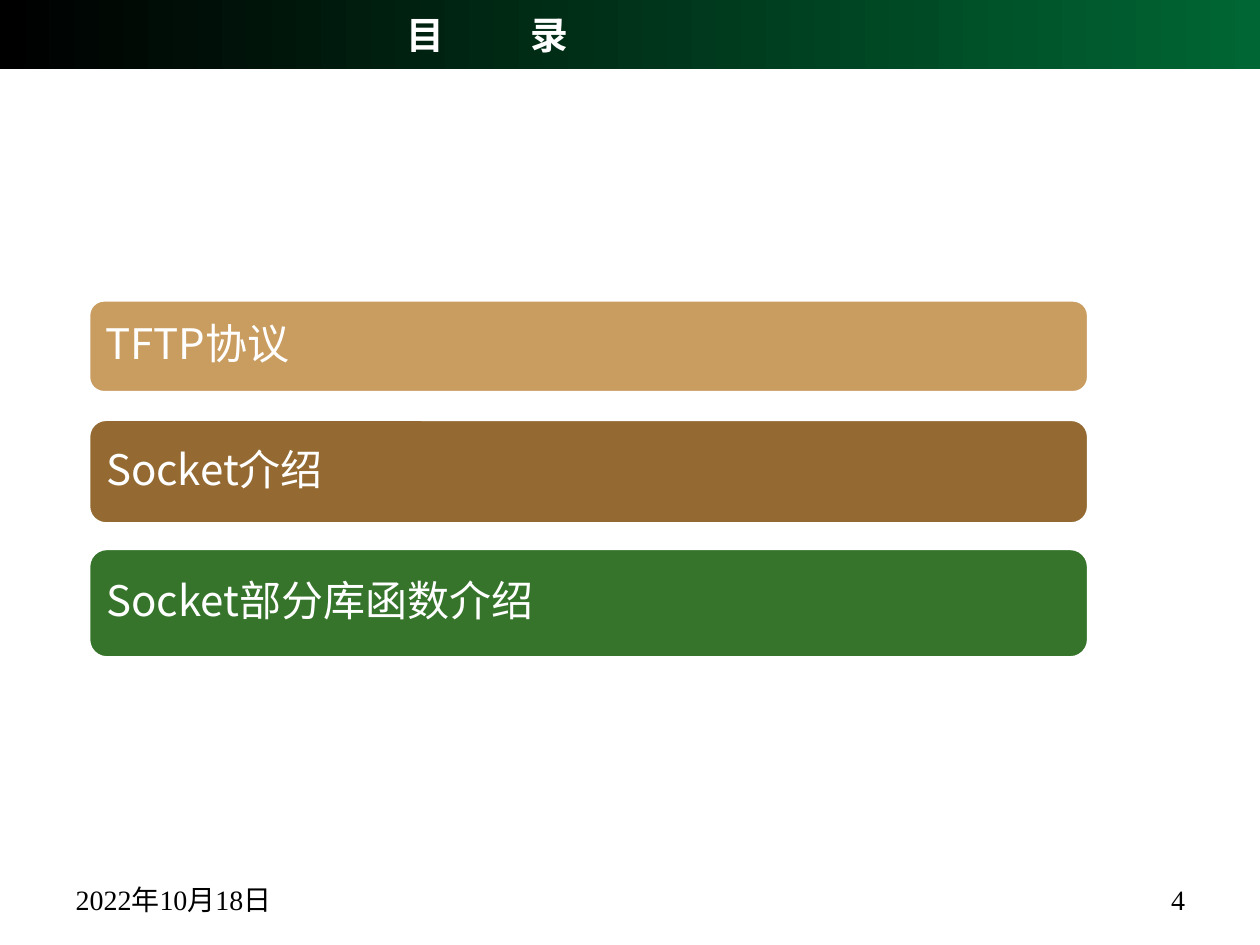
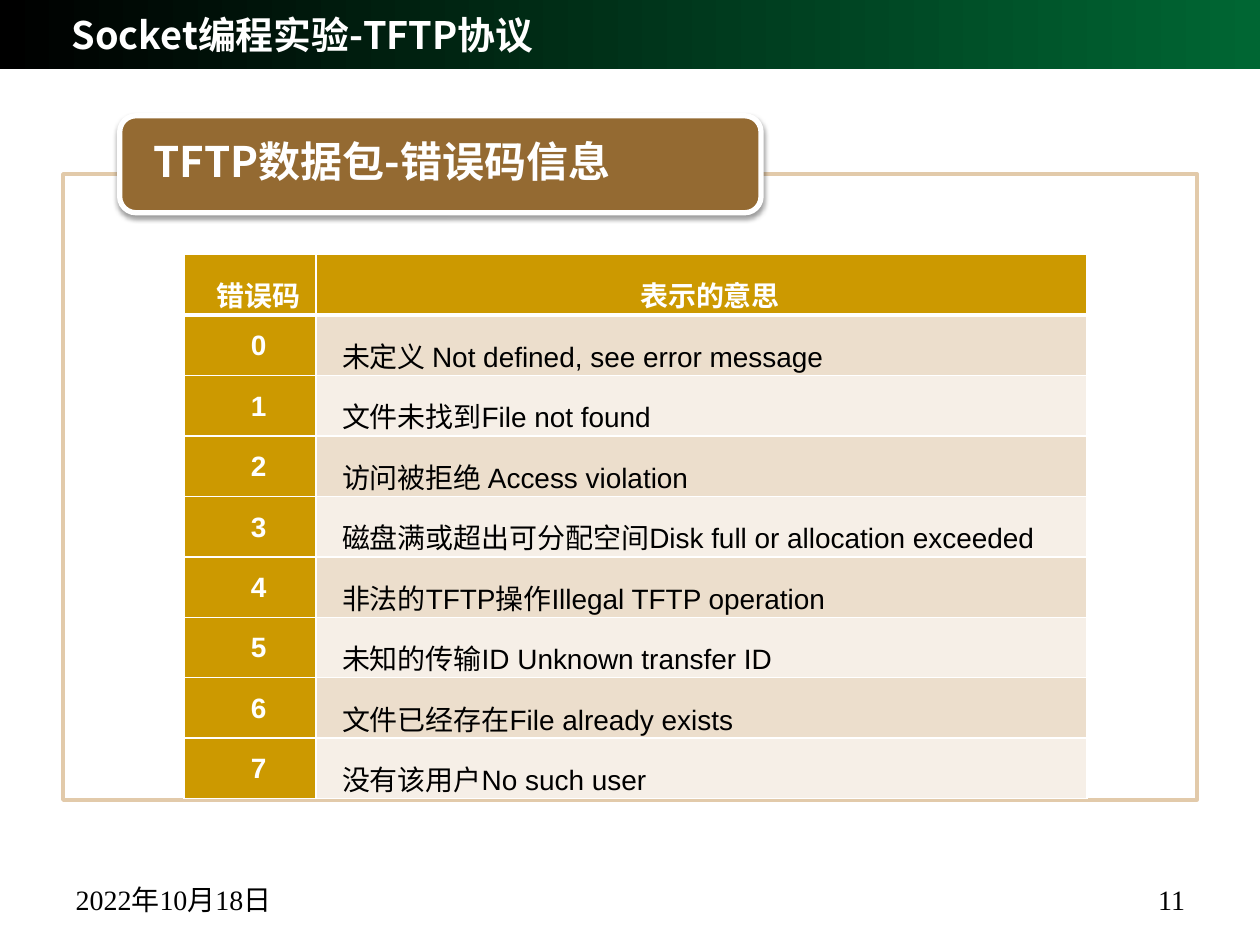
from lxml import etree
from pptx import Presentation
from pptx.dml.color import RGBColor
from pptx.enum import shapes, text
from pptx.oxml import ns
from pptx.util import Pt

CJK, SERIF, SANS = "Noto Sans CJK SC", "Times New Roman", "Arial"
WHITE, BLACK, BROWN, GOLD = "FFFFFF", "000000", "946A32", "CC9900"
LEFT, CENTER, RIGHT = text.PP_ALIGN.LEFT, text.PP_ALIGN.CENTER, text.PP_ALIGN.RIGHT
MIDDLE, BOTTOM = text.MSO_ANCHOR.MIDDLE, text.MSO_ANCHOR.BOTTOM
RECT, ROUND = shapes.MSO_SHAPE.RECTANGLE, shapes.MSO_SHAPE.ROUNDED_RECTANGLE
rgb = RGBColor.from_string


def write(tf, words, size, font, color, bold=False, align=LEFT, spacing=1.0, **frame):
    """Fill a text frame with one paragraph; words is a list of runs."""
    for name, value in frame.items():
        setattr(tf, name, value)
    p = tf.paragraphs[0]
    p.alignment, p.line_spacing = align, spacing
    for word in words:
        r = p.add_run()
        r.text = word
        for name, value in dict(name=font, size=Pt(size), bold=bold).items():
            setattr(r.font, name, value)
        r.font.color.rgb = rgb(color)
        etree.SubElement(r._r.get_or_add_rPr(), ns.qn("a:ea"), typeface=CJK)
    return p


def add_box(s, kind, at, fill, line, width):
    sp = s.shapes.add_shape(kind, *map(Pt, at))
    sp.shadow.inherit = False
    sp.fill.solid()
    sp.fill.fore_color.rgb = rgb(fill)
    sp.line.color.rgb = rgb(line)
    sp.line.width = Pt(width)
    return sp


prs = Presentation()
prs.slide_width, prs.slide_height = Pt(720), Pt(540)
layout = prs.slide_layouts[5]

# Title and footer of both slides
pages = [(["目 ", "录"], CENTER, "4"), (["Socket编程实验-TFTP协议"], LEFT, "11")]
for words, align, number in pages:
    s = prs.slides.add_slide(layout)
    title = s.shapes.title
    title.left, title.top, title.width, title.height = map(Pt, (33.8, 5.8, 489.6, 28.1))
    write(title.text_frame, words, 21.6, CJK, WHITE, True, align,
          vertical_anchor=MIDDLE, word_wrap=True, auto_size=text.MSO_AUTO_SIZE.NONE)
    for left, width, label, side in ((36.2, 168, "2022年10月18日", LEFT),
                                     (456.2, 228, number, RIGHT)):
        sp = s.shapes.add_textbox(Pt(left), Pt(491.2), Pt(width), Pt(36))
        write(sp.text_frame, [label], 16, SERIF, BLACK, align=side,
              vertical_anchor=BOTTOM, word_wrap=True)
agenda, errors = prs.slides

# Wide gap between the two characters of the agenda title
spread = agenda.shapes.title.text_frame.paragraphs[0].runs[0]
spread._r.get_or_add_rPr().set("spc", "2200")

# Gradient band, kept on the shared layout
band = add_box(agenda, RECT, (0, 0, 720, 39.4), BLACK, BLACK, 1)
band.line.fill.background()
band.fill.gradient()
band.fill.gradient_angle = 0
for stop, color, position in zip(band.fill.gradient_stops, (BLACK, "006633"), (0, 1)):
    stop.color.rgb, stop.position = rgb(color), position
layout.shapes.element.insert(2, band.element)

# Agenda bars
bars = [("TFTP协议", 171.4, 53, "C99C60"),
        ("Socket介绍", 239.6, 59.8, BROWN),
        ("Socket部分库函数介绍", 313.4, 62.6, "35742A")]
for label, top, height, color in bars:
    sp = add_box(agenda, ROUND, (50.6, top, 571.5, height), color, WHITE, 2)
    write(sp.text_frame, [label], 24, CJK, WHITE, spacing=0.9, margin_left=Pt(7.2),
          vertical_anchor=MIDDLE, word_wrap=True)

# Frame and heading of the error codes
add_box(errors, RECT, (36, 99.4, 648, 357.8), WHITE, "E2CAAA", 2)
heading = add_box(errors, ROUND, (68.4, 66.2, 366.5, 55.4), BROWN, WHITE, 3)
write(heading.text_frame, ["TFTP数据包-错误码信息"], 24, CJK, WHITE, True, spacing=0.9,
      margin_left=Pt(16.6), margin_top=0, margin_bottom=0,
      vertical_anchor=MIDDLE, word_wrap=True)
effects = heading.element.spPr.find(ns.qn("a:effectLst"))
shadow = etree.SubElement(effects, ns.qn("a:outerShdw"), blurRad=str(Pt(3.1)),
                          dist=str(Pt(1.6)), dir="5400000", rotWithShape="0")
shade = etree.SubElement(shadow, ns.qn("a:srgbClr"), val=BLACK)
etree.SubElement(shade, ns.qn("a:alpha"), val="38000")

# Error code table
meanings = ["未定义 Not defined, see error message",
            "文件未找到File not found",
            "访问被拒绝 Access violation",
            "磁盘满或超出可分配空间Disk full or allocation exceeded",
            "非法的TFTP操作Illegal TFTP operation",
            "未知的传输ID Unknown transfer ID",
            "文件已经存在File already exists",
            "没有该用户No such user"]
rows = [("错误码", "表示的意思")] + [(str(i), m) for i, m in enumerate(meanings)]
row_height = 34.56
table = errors.shapes.add_table(len(rows), 2, Pt(105.1), Pt(145.4),
                                Pt(516), Pt(row_height * len(rows))).table
table.columns[0].width, table.columns[1].width = Pt(75.4), Pt(440.6)
for i, row in enumerate(rows):
    table.rows[i].height = Pt(row_height)
    for j, words in enumerate(row):
        cell = table.cell(i, j)
        for name, value in dict(margin_left=Pt(5), margin_right=Pt(5),
                                margin_top=0, margin_bottom=0).items():
            setattr(cell, name, value)
        is_header = i == 0 or j == 0
        p = write(cell.text_frame, [words], 16, SANS, WHITE if is_header else BLACK,
                  is_header, CENTER if is_header else LEFT, 1.5)
        p._p.get_or_add_pPr().set("indent", str(Pt(10)))
        # White borders, thicker below the header row
        for side in "LRTB":
            thick = (i, side) in ((0, "B"), (1, "T"))
            ln = etree.SubElement(cell._tc.get_or_add_tcPr(), ns.qn("a:ln" + side),
                                  w=str(Pt(3 if thick else 1)))
            fill = etree.SubElement(ln, ns.qn("a:solidFill"))
            etree.SubElement(fill, ns.qn("a:srgbClr"), val=WHITE)
        cell.fill.solid()
        cell.fill.fore_color.rgb = rgb(GOLD if is_header else ("F6EFE7", "ECDECC")[i % 2])

prs.save("out.pptx")
